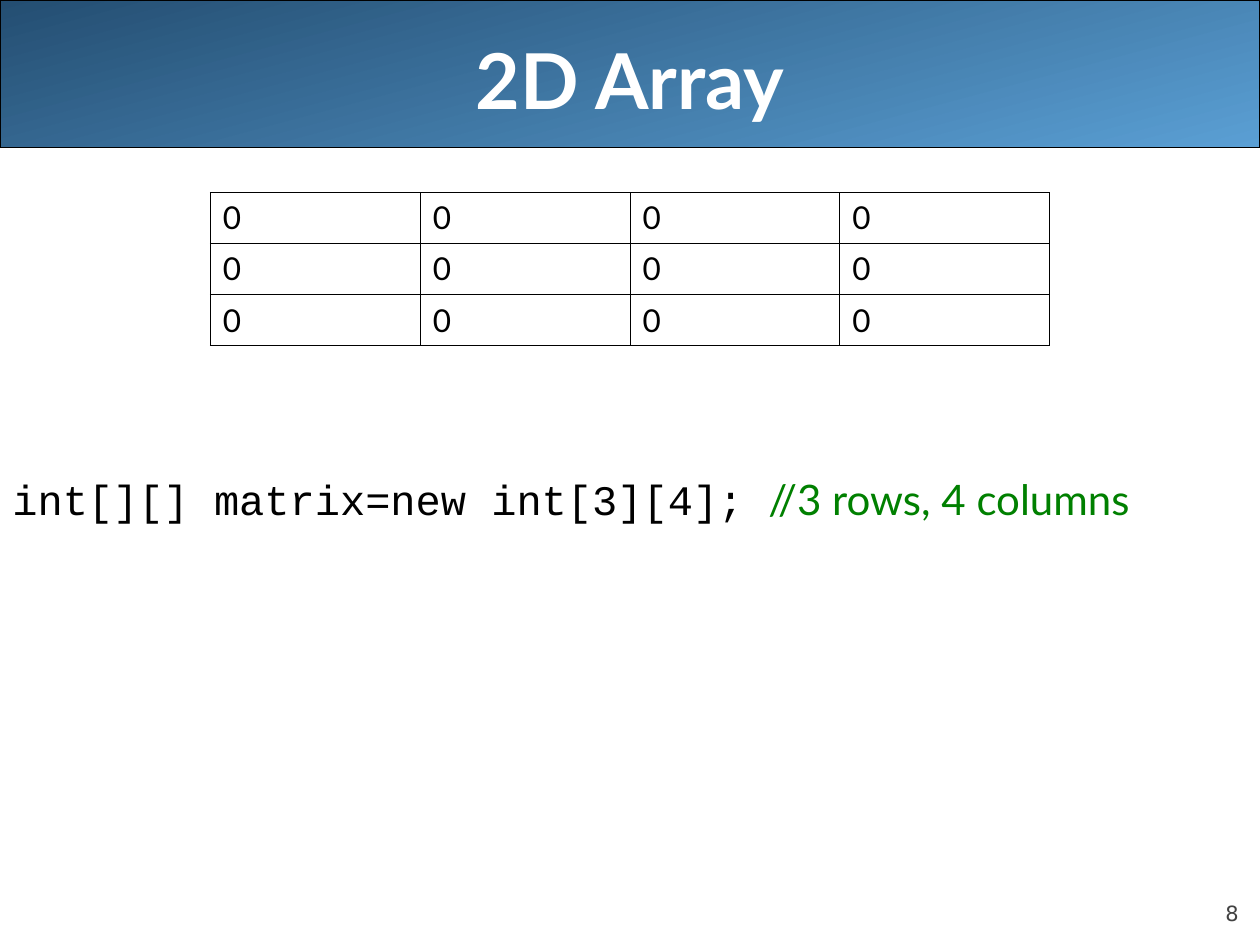
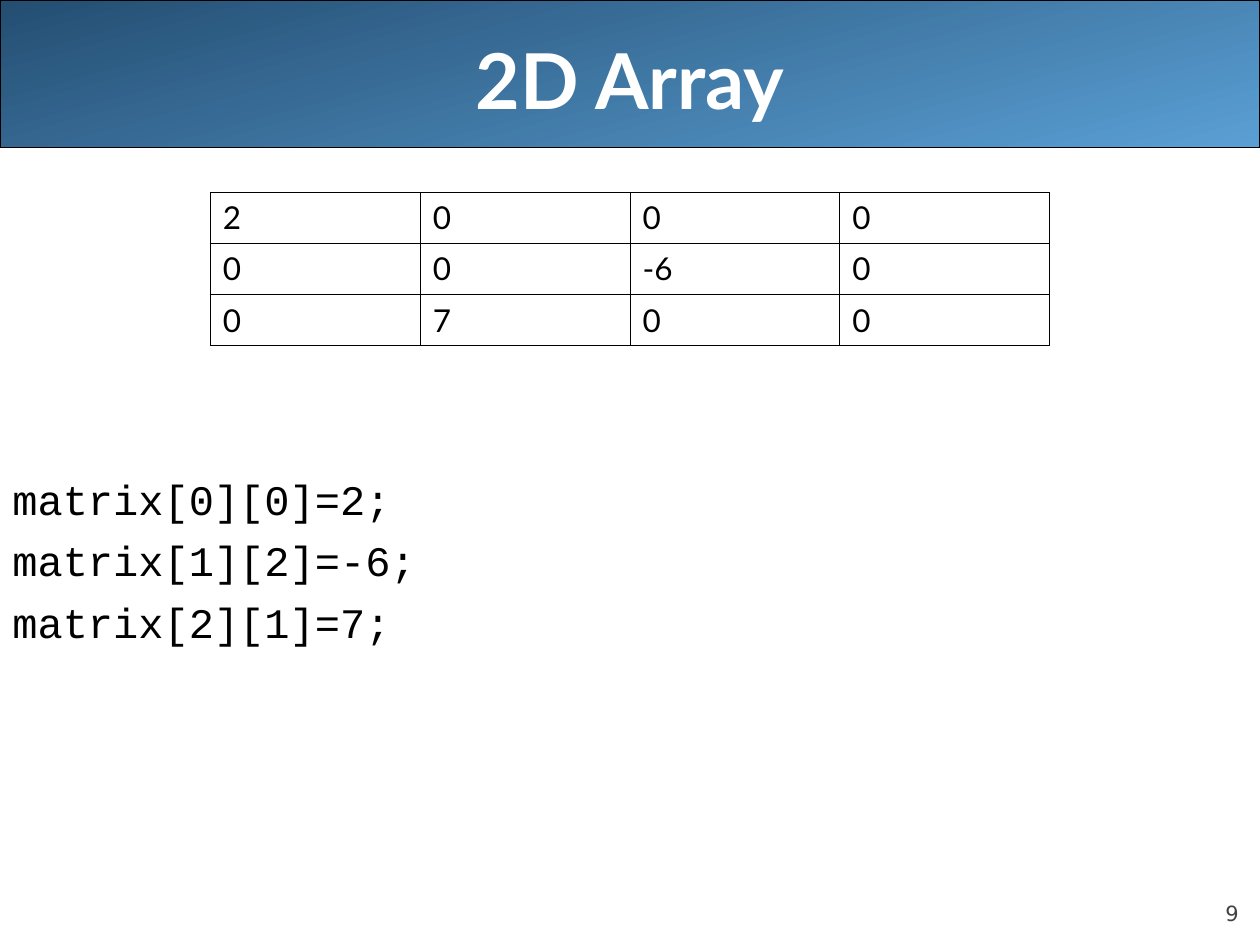
from lxml.etree import SubElement
from pptx import Presentation
from pptx.dml.color import RGBColor
from pptx.enum.shapes import MSO_SHAPE
from pptx.enum.text import MSO_ANCHOR as Anchor, PP_ALIGN as Align
from pptx.oxml.ns import qn
from pptx.util import Cm, Pt

BLACK = RGBColor(0x00, 0x00, 0x00)
WHITE = RGBColor(0xFF, 0xFF, 0xFF)
GREY = RGBColor(0x42, 0x42, 0x42)
GREEN = RGBColor(0x00, 0x80, 0x00)
LIGHT_BLUE = RGBColor(0x5A, 0x9F, 0xD4)
DARK_BLUE = RGBColor(0x24, 0x4E, 0x72)

BODY_FONT = "Lato"
CODE_FONT = "Courier New"
NUMBER_FONT = "DejaVu Sans"


class Deck:
    """Holds the lecture style and the slide being filled."""

    def __init__(self):
        self.prs = Presentation()
        self.prs.slide_width, self.prs.slide_height = Cm(25.4), Cm(19.05)
        self.s = None

    def style(self, r, size, color=BLACK, font=BODY_FONT, bold=False):
        r.font.size, r.font.name, r.font.bold = Pt(size), font, bold
        r.font.color.rgb = color

    def text_box(self, left, top, width, height, anchor=Anchor.TOP):
        tf = self.s.shapes.add_textbox(Cm(left), Cm(top), Cm(width), Cm(height)).text_frame
        tf.word_wrap = True
        tf.vertical_anchor = anchor
        return tf

    def slide(self, title, number):
        self.s = self.prs.slides.add_slide(self.prs.slide_layouts[6])
        self.band()
        self.number(number)
        self.title(title)

    def band(self):
        sp = self.s.shapes.add_shape(
            MSO_SHAPE.ROUNDED_RECTANGLE, 0, 0, self.prs.slide_width, Cm(2.97))
        sp.adjustments[0] = 0
        sp.shadow.inherit = False
        sp.fill.gradient()
        sp.fill.gradient_angle = 105
        for stop, position, color in zip(sp.fill.gradient_stops, (0, 1), (LIGHT_BLUE, DARK_BLUE)):
            stop.position = position
            stop.color.rgb = color
        sp.line.color.rgb = BLACK
        sp.line.width = Pt(0.75)

    def number(self, number):
        tf = self.text_box(22.86, 17.65, 2.11, 1.02, Anchor.BOTTOM)
        tf.margin_left = tf.margin_right = tf.margin_top = tf.margin_bottom = 0
        tf.text = str(number)
        p = tf.paragraphs[0]
        p.alignment = Align.RIGHT
        self.style(p.runs[0], 12, GREY, NUMBER_FONT)

    def title(self, title):
        tf = self.text_box(1.27, 0, 22.86, 3.18, Anchor.MIDDLE)
        tf.text = title
        p = tf.paragraphs[0]
        p.alignment = Align.CENTER
        self.style(p.runs[0], 44, WHITE, bold=True)

    def code(self, lines, comment=""):
        tf = self.text_box(0, 9.19, 25.4, 9.86)
        tf.text = "\n".join(lines)
        for p in tf.paragraphs:
            p.line_spacing = Pt(35.2)
            self.style(p.runs[0], 24, font=CODE_FONT)
        if comment:
            r = p.add_run()
            r.text = comment
            self.style(r, 24, GREEN)

    def matrix(self, rows):
        column_width, row_height = Cm(4.23), Cm(1.03)
        frame = self.s.shapes.add_table(
            len(rows), len(rows[0]), Cm(4.24), Cm(3.88),
            column_width * len(rows[0]), row_height * len(rows))
        table = frame.table
        table.first_row = table.horz_banding = False
        for column in table.columns:
            column.width = column_width
        for i, values in enumerate(rows):
            table.rows[i].height = row_height
            for j, value in enumerate(values):
                cell = table.cell(i, j)
                cell.text = str(value)
                self.style(cell.text_frame.paragraphs[0].runs[0], 18)
                self.borders(cell)
                cell.fill.background()

    def borders(self, cell):
        tc_pr = cell._tc.get_or_add_tcPr()
        for side in ("a:lnL", "a:lnR", "a:lnT", "a:lnB"):
            ln = SubElement(tc_pr, qn(side), w=str(Pt(0.45)))
            fill = SubElement(ln, qn("a:solidFill"))
            SubElement(fill, qn("a:srgbClr"), val=str(BLACK))


def main():
    deck = Deck()

    deck.slide("2D Array", 8)
    deck.code(["int[][] matrix=new int[3][4]; "], "//3 rows, 4 columns")
    deck.matrix([[0] * 4] * 3)

    deck.slide("2D Array", 9)
    deck.code(["matrix[0][0]=2;", "matrix[1][2]=-6;", "matrix[2][1]=7;"])
    deck.matrix([[2, 0, 0, 0], [0, 0, -6, 0], [0, 7, 0, 0]])

    deck.prs.save("out.pptx")


if __name__ == "__main__":
    main()
